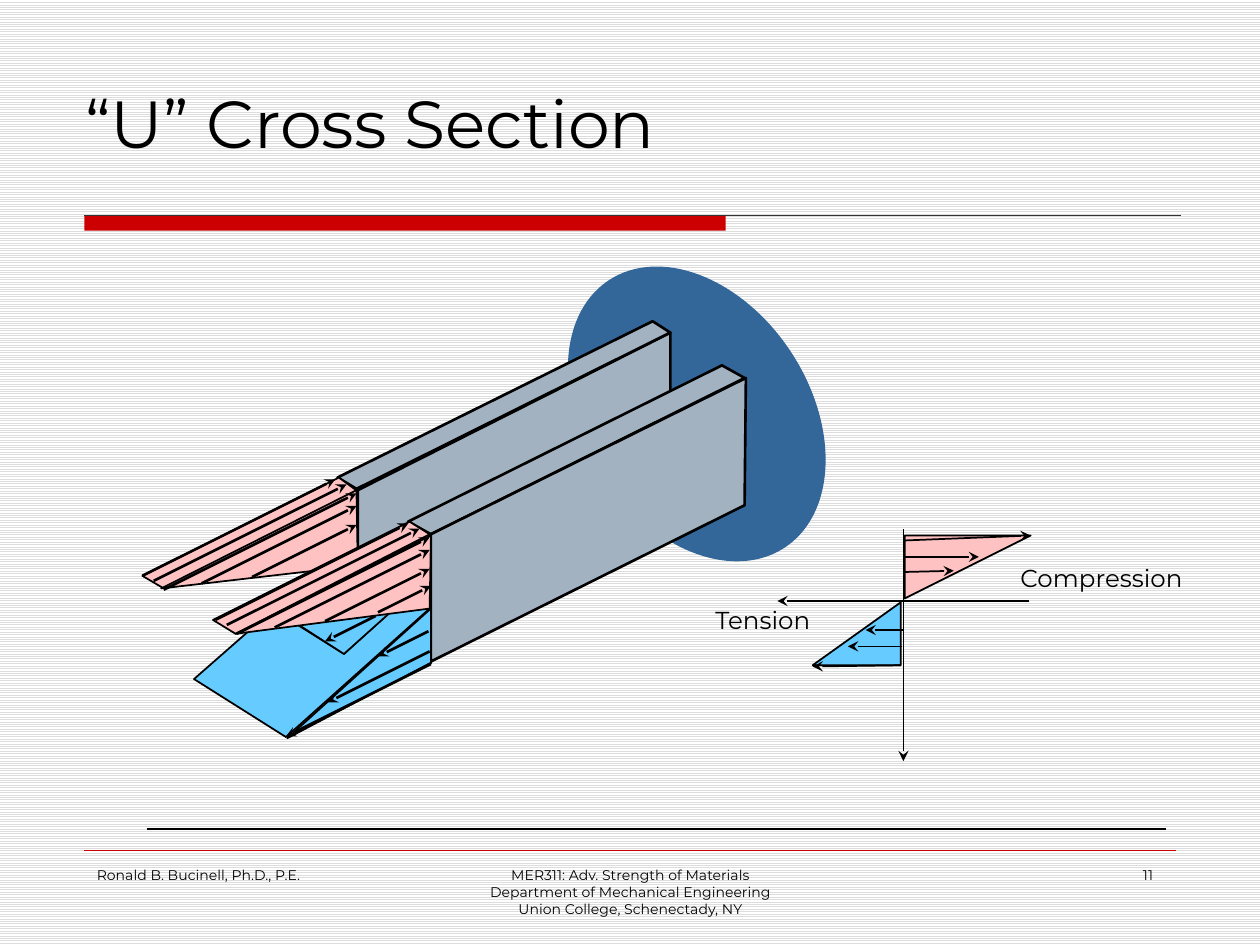
from dataclasses import dataclass

from lxml.etree import SubElement
from pptx import Presentation
from pptx.dml.color import RGBColor as Rgb
from pptx.enum.dml import MSO_PATTERN as Pattern
from pptx.enum.shapes import MSO_CONNECTOR as Connector, MSO_SHAPE as Preset
from pptx.enum.text import MSO_ANCHOR as Anchor, PP_ALIGN as Align
from pptx.oxml.ns import qn
from pptx.util import Inches, Pt


@dataclass(frozen=True)
class Theme:
    font: str = "Montserrat"
    ink: str = "000000"
    accent: str = "CC0000"
    hairline: str = "333333"
    paper: str = "FFFFFF"
    stripe: str = "DDDDDD"
    wall: str = "336699"
    steel: str = "A3B2C1"
    tension: str = "66CCFF"
    compression: str = "FFC2C2"
    title: int = 38
    label: int = 14
    footer: int = 8


class SlideBuilder:
    """Draws styled elements on the current slide."""

    def __init__(self, slide, theme):
        self.slide, self.shapes, self.theme = slide, slide.shapes, theme

    def background(self):
        fill = self.slide.background.fill
        fill.patterned()
        fill.pattern = Pattern.LIGHT_HORIZONTAL
        fill.fore_color.rgb = Rgb.from_string(self.theme.stripe)
        fill.back_color.rgb = Rgb.from_string(self.theme.paper)

    def paint(self, shape, color, width):
        shape.shadow.inherit = False
        shape.fill.solid()
        shape.fill.fore_color.rgb = Rgb.from_string(color)
        if width:
            self.stroke(shape, self.theme.ink, width)
        else:
            shape.line.fill.background()

    def stroke(self, shape, color, width):
        shape.line.color.rgb = Rgb.from_string(color)
        shape.line.width = Pt(width)

    def preset(self, kind, box, color, width=0, rotation=0, adjust=None):
        shape = self.shapes.add_shape(kind, *map(Inches, box))
        shape.rotation = rotation
        if adjust is not None:
            shape.adjustments[0] = adjust
        self.paint(shape, color, width)

    def polygon(self, color, width, corners):
        start, *rest = [(Inches(x), Inches(y)) for x, y in corners]
        outline = self.shapes.build_freeform(*start)
        outline.add_line_segments(rest, close=True)
        self.paint(outline.convert_to_shape(), color, width)

    def line(self, start, end, width=1, color=None, arrow=False):
        line = self.shapes.add_connector(
            Connector.STRAIGHT, *map(Inches, (*start, *end)))
        self.stroke(line, color or self.theme.ink, width)
        if arrow:
            SubElement(line.get_or_add_ln(), qn("a:tailEnd"), type="stealth")
        SubElement(line.element.spPr, qn("a:effectLst"))

    def beam_arrow(self, x, y, run):
        self.line((x, y), (x + run, y - run / 2), 1.5, arrow=True)

    def text(self, box, lines, size, align=Align.LEFT, anchor=Anchor.TOP, wrap=True):
        frame = self.shapes.add_textbox(*map(Inches, box)).text_frame
        frame.text = "\n".join(lines)
        for name, value in {"word_wrap": wrap, "vertical_anchor": anchor}.items():
            setattr(frame, name, value)
        for paragraph in frame.paragraphs:
            paragraph.alignment = align
            for name, value in {"name": self.theme.font, "size": Pt(size)}.items():
                setattr(paragraph.font, name, value)
            paragraph.font.color.rgb = Rgb.from_string(self.theme.ink)


def draw_frame(builder, theme):
    builder.background()
    builder.preset(Preset.RECTANGLE, (0.67, 1.71, 5.09, 0.12), theme.accent)
    builder.line((0.67, 1.71), (9.37, 1.71), 0.75, theme.hairline)
    builder.line((0.67, 6.75), (9.33, 6.75), 0.25, theme.accent)
    builder.line((1.17, 6.58), (9.25, 6.58), 0.75)
    course = ["MER311: Adv. Strength of Materials",
              "Department of Mechanical Engineering",
              "Union College, Schenectady, NY"]
    for left, width, lines, align in [
        (0.67, 2.08, ["Ronald B. Bucinell, Ph.D., P.E."], Align.LEFT),
        (3.42, 3.17, course, Align.CENTER),
        (7.17, 2.08, ["11"], Align.RIGHT),
    ]:
        builder.text((left, 6.83, width, 0.5), lines, theme.footer, align)
    builder.text((0.58, 0.5, 8.75, 0.83), ["“U” Cross Section"],
                 theme.title, anchor=Anchor.BOTTOM)


def draw_stress_diagram(builder, theme):
    builder.line((7.17, 4.2), (7.17, 6.04), arrow=True)
    builder.preset(Preset.ISOSCELES_TRIANGLE, (6.45, 4.78, 0.7, 0.5),
                   theme.tension, 1, adjust=1)
    builder.preset(Preset.ISOSCELES_TRIANGLE, (7.18, 4.25, 1, 0.5),
                   theme.compression, 1, rotation=180, adjust=1)
    for start, end in [
        ((8.17, 4.77), (6.17, 4.77)),
        ((7.15, 5.28), (6.45, 5.29)),
        ((7.17, 5), (6.87, 5)),
        ((7.16, 5.13), (6.73, 5.13)),
        ((7.17, 4.29), (8.18, 4.25)),
        ((7.17, 4.54), (7.57, 4.53)),
        ((7.17, 4.42), (7.77, 4.42)),
    ]:
        builder.line(start, end, arrow=True)
    for box, label in [((8, 4.42, 1.6, 0.34), "Compression"),
                       ((5.58, 4.75, 1.04, 0.34), "Tension")]:
        builder.text(box, [label], theme.label, wrap=False)


def draw_beam(builder, theme):
    builder.preset(Preset.OVAL, (4.26, 2.39, 2.54, 1.79), theme.wall, rotation=56.7)
    for corners in [
        [(3.23, 4.92), (2.83, 4.66), (5.31, 3.42), (5.73, 3.67)],
        [(2.84, 4.66), (2.84, 3.89), (5.32, 2.64), (5.32, 3.42)],
        [(3.42, 5.26), (2.68, 4.8), (2.68, 3.8), (2.83, 3.89),
         (2.84, 4.67), (3.24, 4.92), (3.24, 4.15), (3.42, 4.26)],
        [(2.83, 3.88), (2.68, 3.79), (5.18, 2.55), (5.32, 2.64)],
        [(3.42, 4.24), (3.24, 4.14), (5.73, 2.9), (5.91, 3)],
        [(3.42, 5.25), (3.42, 4.24), (5.92, 3), (5.91, 4.01)],
    ]:
        builder.polygon(theme.steel, 1.5, corners)


def draw_beam_stress(builder, theme):
    tension_faces = [
        [(2.84, 4.49), (2.68, 4.39), (1.54, 5.39), (2.27, 5.85),
         (3.41, 4.83), (3.24, 4.73), (2.73, 5.19), (2.33, 4.94)],
        [(2.34, 4.94), (2.84, 4.67), (2.84, 4.49)],
        [(2.73, 5.19), (2.34, 4.94), (2.84, 4.67), (3.12, 4.84)],
        [(2.28, 5.86), (3.42, 5.26), (3.42, 4.83)],
    ]
    compression_faces = [
        [(2.84, 3.9), (2.69, 3.79), (1.13, 4.57), (1.3, 4.67)],
        [(2.84, 4.49), (1.28, 4.67), (2.83, 3.89)],
        [(3.41, 4.24), (3.25, 4.14), (1.69, 4.92), (1.87, 5.03)],
        [(3.41, 4.83), (1.87, 5.03), (3.42, 4.25)],
    ]
    for color, faces in [(theme.tension, tension_faces),
                         (theme.compression, compression_faces)]:
        for corners in faces:
            builder.polygon(color, 1, corners)

    far_dx, far_dy = 0.58, 0.35
    for x, y, run in [(1.88, 5.03, 1.53), (1.71, 4.92, 1.53), (1.8, 4.96, 1.53),
                      (2.18, 4.98, 1.23), (2.58, 4.93, 0.83)]:
        builder.beam_arrow(x, y, run)
        builder.beam_arrow(x - far_dx, y - far_dy, run)
    builder.beam_arrow(3, 4.86, 0.42)
    for x, y, run in [(3.42, 5.27, 1.15), (3.41, 5.17, 0.81),
                      (3.4, 5.01, 0.4), (2.98, 4.89, 0.4)]:
        builder.beam_arrow(x, y, -run)


def main():
    theme = Theme()
    deck = Presentation()
    deck.slide_width, deck.slide_height = Inches(10), Inches(7.5)
    builder = SlideBuilder(deck.slides.add_slide(deck.slide_layouts[6]), theme)
    for draw in (draw_frame, draw_stress_diagram, draw_beam, draw_beam_stress):
        draw(builder, theme)
    deck.save("out.pptx")


if __name__ == "__main__":
    main()
